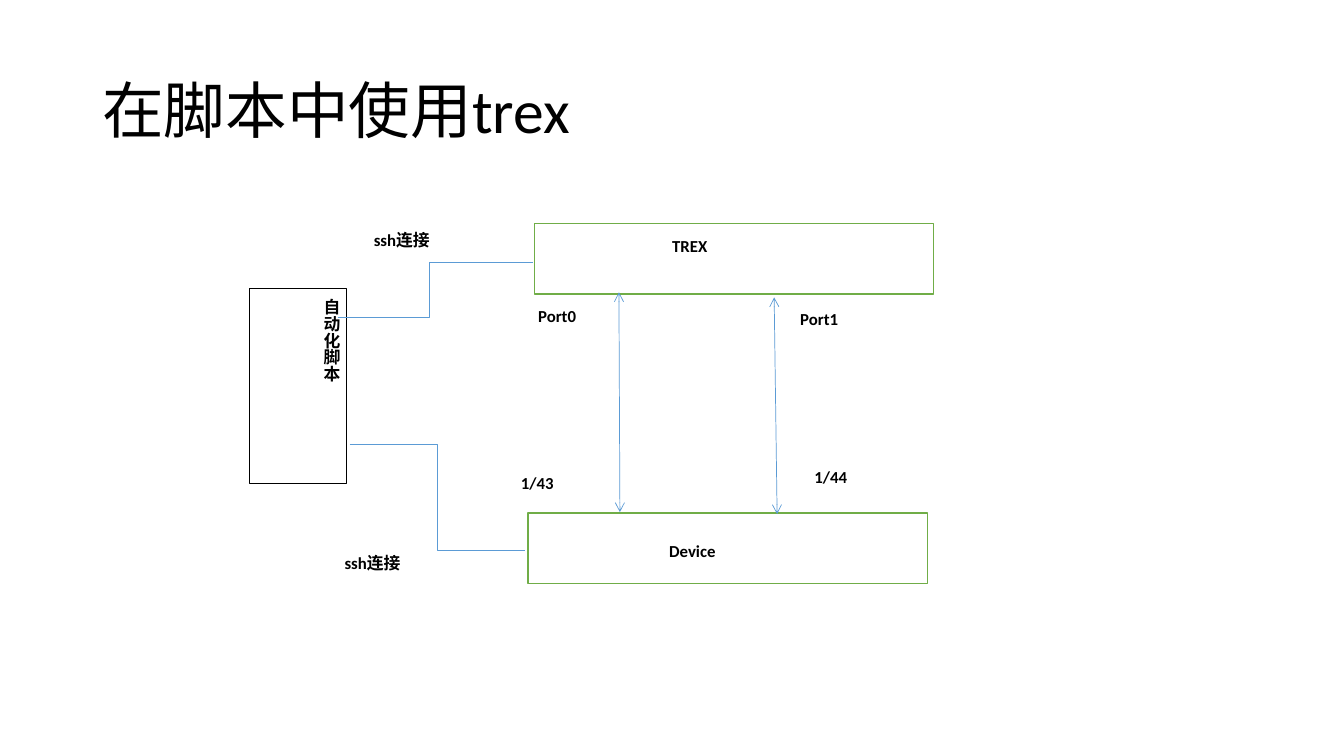
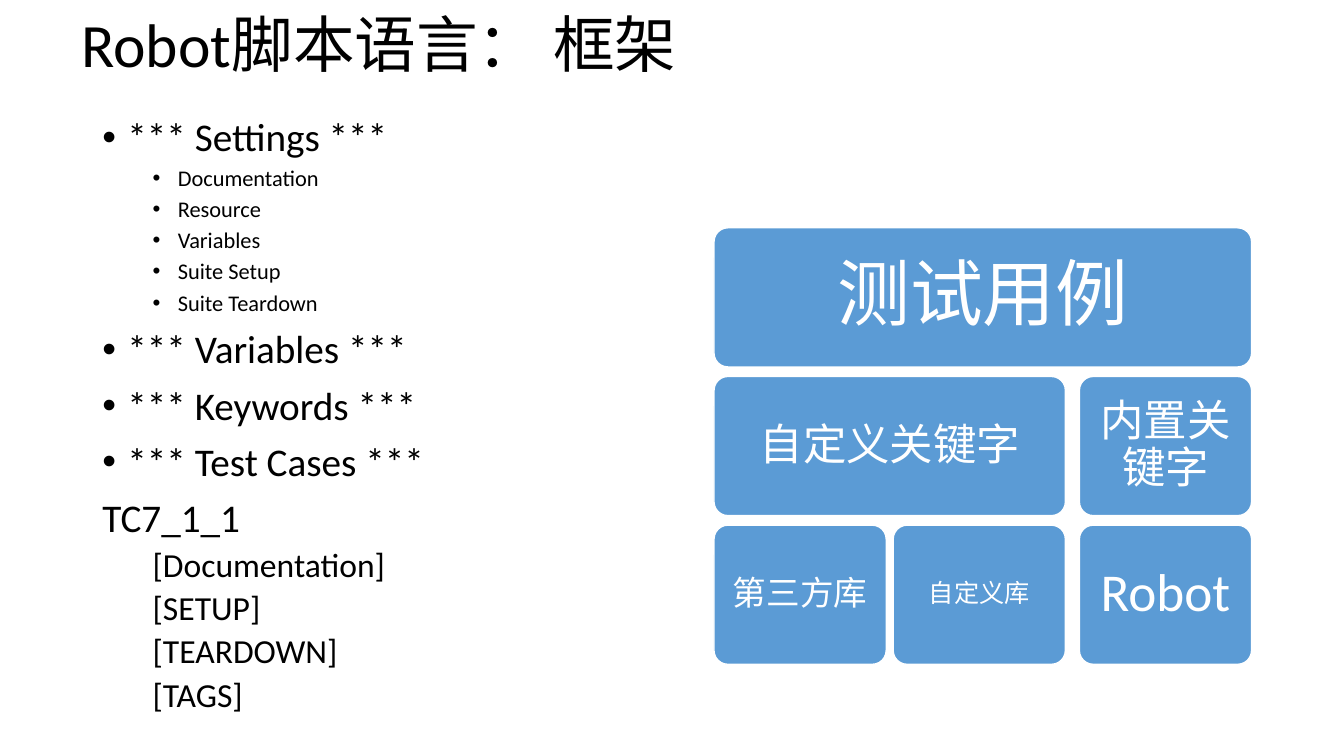
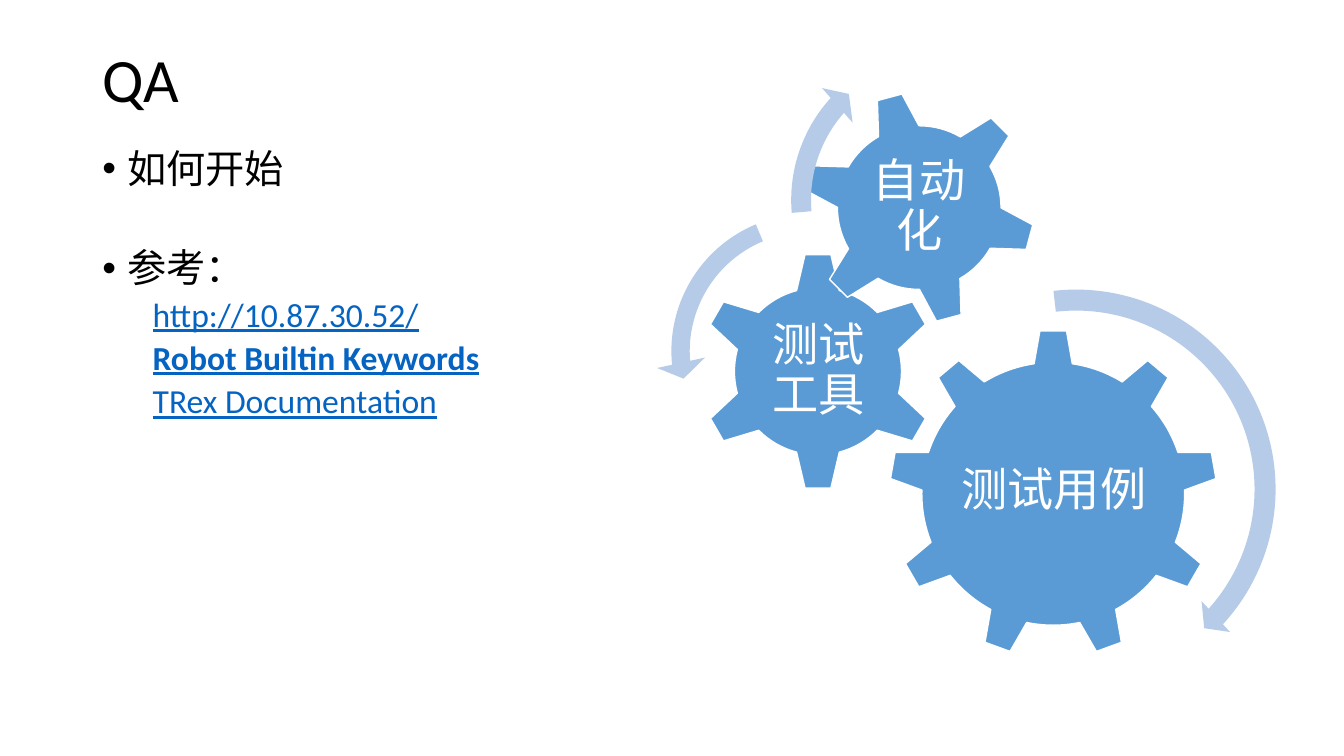
from lxml import etree
from pptx import Presentation
from pptx.dml.color import RGBColor
from pptx.enum.shapes import MSO_CONNECTOR, MSO_SHAPE
from pptx.enum.text import MSO_ANCHOR, PP_ALIGN
from pptx.oxml.ns import qn
from pptx.util import Pt

RECT, ROUND = MSO_SHAPE.RECTANGLE, MSO_SHAPE.ROUNDED_RECTANGLE
GEAR6, GEAR9 = MSO_SHAPE.GEAR_6, MSO_SHAPE.GEAR_9
ARC, LEFT_ARC = MSO_SHAPE.CIRCULAR_ARROW, MSO_SHAPE.LEFT_CIRCULAR_ARROW
STRAIGHT, ELBOW = MSO_CONNECTOR.STRAIGHT, MSO_CONNECTOR.ELBOW
LEFT, CENTER, JUSTIFY = PP_ALIGN.LEFT, PP_ALIGN.CENTER, PP_ALIGN.JUSTIFY
TOP, MIDDLE = MSO_ANCHOR.TOP, MSO_ANCHOR.MIDDLE

FONT = "Calibri"
BLACK, WHITE = "000000", "FFFFFF"
BLUE, PALE, GREEN, LINK = "5B9BD5", "B5CBE7", "70AD47", "0563C1"
color = RGBColor.from_string


def paint(shape, fill, edge=None, width=1):
    shape.shadow.inherit = False
    shape.fill.solid()
    shape.fill.fore_color.rgb = color(fill)
    if edge:
        shape.line.color.rgb = color(edge)
        shape.line.width = Pt(width)
    else:
        shape.line.fill.background()


def write(shape, text, size, tint=BLACK, align=LEFT, anchor=TOP,
          space=0.9, before=0, left=0, mark=False):
    frame = shape.text_frame
    frame.word_wrap = True
    frame.vertical_anchor = anchor
    para = frame.add_paragraph() if frame.text else frame.paragraphs[0]
    para.text = text
    props = para._p.get_or_add_pPr()
    props.set("marL", str(Pt(left)))
    props.set("indent", str(Pt(-18 if mark else 0)))
    if mark:
        etree.SubElement(props, qn("a:buFont")).set("typeface", "Arial")
        etree.SubElement(props, qn("a:buChar")).set("char", "•")
    para.alignment = align
    para.line_spacing = space
    para.space_before = Pt(before)
    para.font.name = FONT
    para.font.size = Pt(size)
    para.font.color.rgb = color(tint)
    return para


deck = Presentation()
deck.slide_width, deck.slide_height = Pt(960), Pt(540)

TITLES = [
    ("在脚本中使用trex", 66, 28.8, 104.4),
    ("Robot脚本语言： 框架", 51, 0, 67.7),
    ("QA", 66, 28.8, 60.5),
]
slides = []
for text, x, y, high in TITLES:
    slide = deck.slides.add_slide(deck.slide_layouts[6])
    title = slide.shapes.add_textbox(Pt(x), Pt(y), Pt(828), Pt(high))
    write(title, text, 44, anchor=MIDDLE)
    slides.append(slide.shapes)
flow, frame, close = slides

for x, y in [(381.6, 159.8), (377.3, 366.5)]:
    box = flow.add_shape(RECT, Pt(x), Pt(y), Pt(285.1), Pt(50.4))
    paint(box, WHITE, GREEN)

LABELS = [
    ("TREX", 473, 164.9, 107.3, 33.8),
    ("Device", 470.9, 383, 112.3, 30.2),
    ("Port0", 377.3, 214.6, 58.3, 37.4),
    ("Port1", 564.5, 216.7, 66.2, 28.1),
    ("1/43", 365, 334.1, 61.9, 28.1),
    ("1/44", 574.6, 329.8, 64.1, 28.8),
    ("ssh连接", 259.9, 160.6, 85, 34.6),
    ("ssh连接", 239, 391, 85, 34.6),
    ("自动化脚本", 178.2, 206.3, 69.2, 138.7),
]
for text, x, y, wide, high in LABELS:
    label = flow.add_shape(RECT, Pt(x), Pt(y), Pt(wide), Pt(high))
    paint(label, WHITE)
    write(label, text, 12, align=JUSTIFY, space=1).font.bold = True
paint(label, WHITE, BLACK, 0.5)
label.element.txBody.bodyPr.set("vert", "eaVert")

WIRES = [
    (STRAIGHT, 442.1, 208.8, 442.8, 365.8, None),
    (STRAIGHT, 553, 212.4, 555.1, 367.2, None),
    (ELBOW, 241.2, 226.8, 380.6, 187.2, 46900),
    (ELBOW, 249.8, 317.5, 375.1, 393.1, 50000),
]
for kind, x, y, right, low, bend in WIRES:
    wire = flow.add_connector(kind, Pt(x), Pt(y), Pt(right), Pt(low))
    wire.line.color.rgb = color(BLUE)
    wire.line.width = Pt(0.5)
    props = wire.element.spPr
    if bend:
        guides = props.find(qn("a:prstGeom")).find(qn("a:avLst"))
        etree.SubElement(guides, qn("a:gd"), name="adj1", fmla=f"val {bend}")
    else:
        for end in ("a:headEnd", "a:tailEnd"):
            etree.SubElement(props.find(qn("a:ln")), qn(end), type="arrow")
    etree.SubElement(props, qn("a:effectLst"))

HEAD = dict(size=28, before=10, left=18, mark=True)
ITEM = dict(size=16, before=5, left=54, mark=True)
PLAIN = dict(size=28, before=10)
SUB = dict(size=24, before=5, left=36)
OUTLINE = [
    (HEAD, ["*** Settings ***"]),
    (ITEM, ["Documentation", "Resource", "Variables",
            "Suite Setup", "Suite Teardown"]),
    (HEAD, ["*** Variables ***", "*** Keywords ***", "*** Test Cases ***"]),
    (PLAIN, ["TC7_1_1"]),
    (SUB, ["[Documentation]", "[SETUP]", "[TEARDOWN]", "[TAGS]"]),
]
body = frame.add_textbox(Pt(66), Pt(80.6), Pt(828), Pt(446.4))
for style, lines in OUTLINE:
    for text in lines:
        write(body, text, **style)

COLS, CELL = [510, 638, 771], 123
TILES = [
    ("测试用例", 0, 0, 2, 52),
    ("自定义关键字", 1, 0, 1, 31),
    ("内置关键字", 1, 2, 2, 31),
    ("第三方库", 2, 0, 0, 24),
    ("自定义库", 2, 1, 1, 18),
    ("Robot", 2, 2, 2, 38),
]
for text, row, first, last, size in TILES:
    wide = COLS[last] + CELL - COLS[first]
    tile = frame.add_shape(ROUND, Pt(COLS[first]), Pt(162.7 + 106.2 * row),
                           Pt(wide), Pt(99.4))
    tile.adjustments[0] = 0.1
    paint(tile, BLUE, WHITE)
    write(tile, text, size, WHITE, CENTER, MIDDLE)
    area = tile.text_frame
    area.margin_left = area.margin_right = Pt(0.3 * size)
    area.margin_top = area.margin_bottom = Pt(0.3 * size)

GEARS = [
    ("测试用例", GEAR9, 635, 235.4, 234.7, 0, (682.6, 290.9, 140.4, 121)),
    ("测试工具", GEAR6, 499, 180, 170.6, 0, (542.2, 223.2, 85, 84.2)),
    ("自动化", GEAR6, 573.1, 64.8, 167, 345, (609.8, 101.5, 93.6, 93.6)),
]
for text, kind, x, y, side, turn, place in GEARS:
    gear = close.add_shape(kind, Pt(x), Pt(y), Pt(side), Pt(side))
    gear.rotation = turn
    paint(gear, BLUE, WHITE)
    name = close.add_textbox(*map(Pt, place))
    write(name, text, 33, WHITE, CENTER, MIDDLE)
    name.text_frame.margin_left = name.text_frame.margin_right = Pt(3.6)

ARCS = [
    (ARC, 618.5, 199.4, 300.2, (0.05, 2.99, 25.39, 158.12, 0.05)),
    (LEFT_ARC, 468.7, 141.8, 218.2, (0.06, 4.3, 104.89, 148.38, 0.08)),
    (ARC, 555.8, 25.2, 235.4, (0.06, 3.94, 133.14, 105.08, 0.07)),
]
for kind, x, y, side, bends in ARCS:
    arc = close.add_shape(kind, Pt(x), Pt(y), Pt(side), Pt(side))
    for spot, bend in enumerate(bends):
        arc.adjustments[spot] = bend
    paint(arc, PALE)

notes = close.add_textbox(Pt(66), Pt(103), Pt(828), Pt(345.6))
write(notes, "如何开始", **HEAD)
write(notes, "参考：", **{**HEAD, "before": 41})
for text in ["http://10.87.30.52/", "Robot Builtin Keywords",
             "TRex Documentation"]:
    para = write(notes, text, tint=LINK, **SUB)
    para.font.underline = True
    para.font.bold = text.startswith("Robot")

deck.save("out.pptx")
